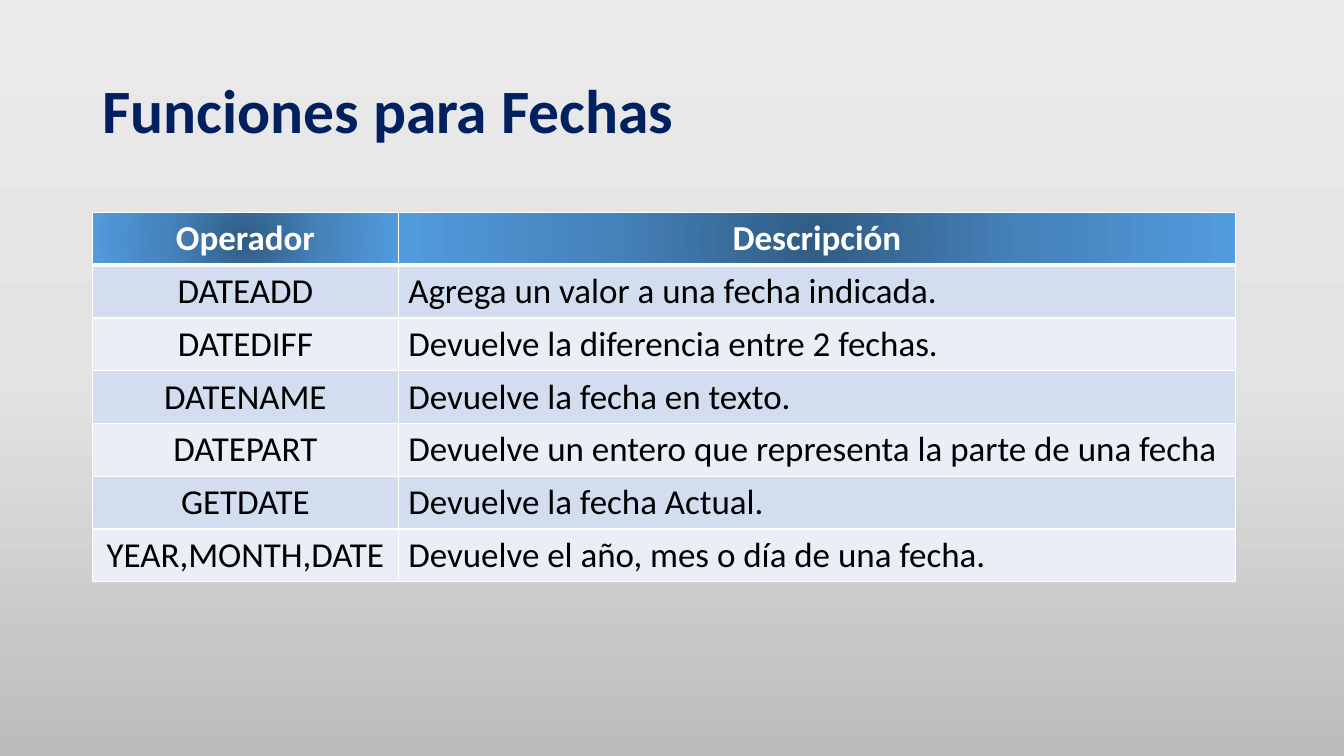
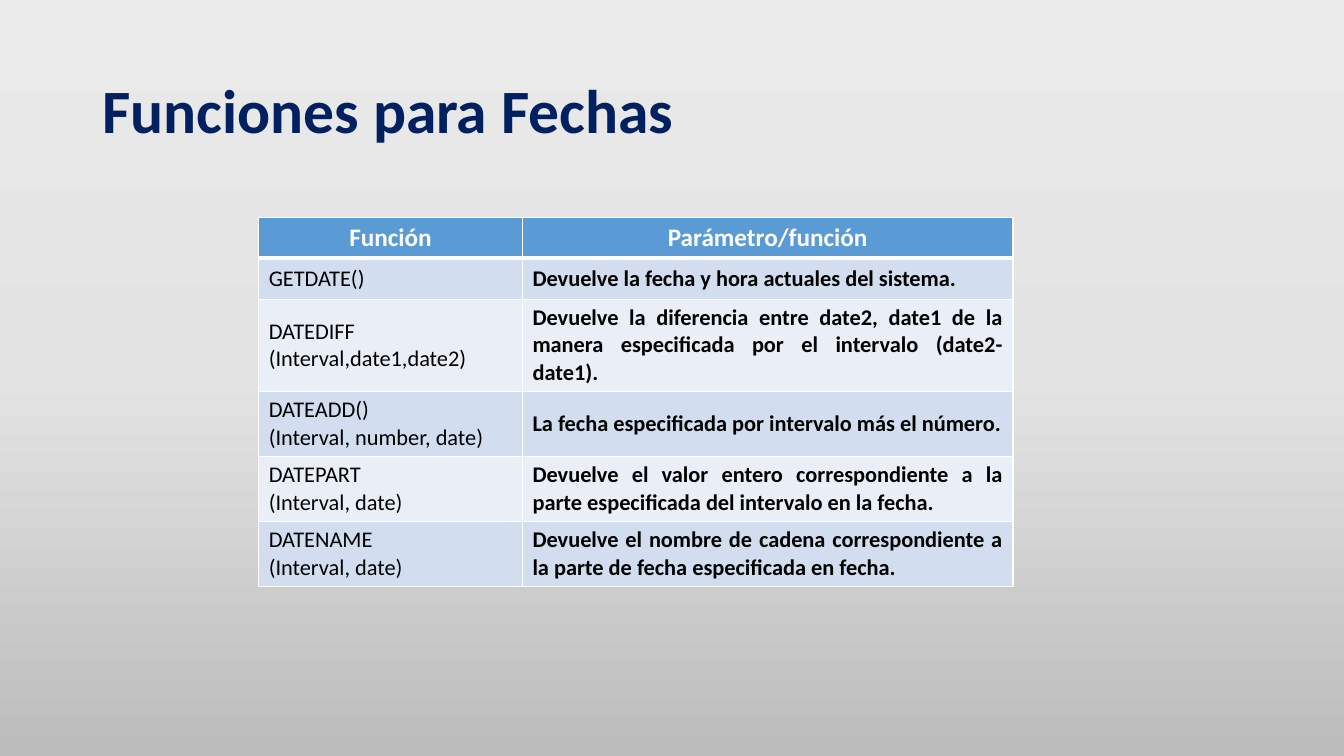
from pptx import Presentation
from pptx.dml.color import RGBColor
from pptx.enum.text import MSO_ANCHOR as Anchor, MSO_AUTO_SIZE as AutoSize, PP_ALIGN as Align
from pptx.oxml import parse_xml
from pptx.oxml.ns import nsdecls, qn
from pptx.util import Pt

FONT = "Calibri"
NAVY = RGBColor(0x00, 0x20, 0x60)
BLUE = RGBColor(0x5B, 0x9B, 0xD5)
WHITE = RGBColor(0xFF, 0xFF, 0xFF)
BLACK = RGBColor(0x00, 0x00, 0x00)
BANDS = (RGBColor(0xD2, 0xDE, 0xEF), RGBColor(0xEA, 0xEF, 0xF7))
PAGE_STOPS = (RGBColor(0xEB, 0xEA, 0xEA), RGBColor(0xE4, 0xE3, 0xE3), RGBColor(0xBD, 0xBC, 0xBC))
HEADER_STOPS = (RGBColor(0x30, 0x5C, 0x84), RGBColor(0x45, 0x83, 0xBB), RGBColor(0x52, 0x9B, 0xDE))

DOWNWARD = '<a:lin ang="5400000" scaled="0"/>'
FROM_CENTRE = ('<a:path path="circle"><a:fillToRect l="50000" t="50000" '
               'r="50000" b="50000"/></a:path>')

TITLE = "Funciones para Fechas"
OPERATORS = [
    ("Operador", "Descripción"),
    ("DATEADD", "Agrega un valor a una fecha indicada."),
    ("DATEDIFF", "Devuelve la diferencia entre 2 fechas."),
    ("DATENAME", "Devuelve la fecha en texto."),
    ("DATEPART", "Devuelve un entero que representa la parte de una fecha"),
    ("GETDATE", "Devuelve la fecha Actual."),
    ("YEAR,MONTH,DATE", "Devuelve el año, mes o día de una fecha."),
]
PARAMETERS = [
    ("Función", "Parámetro/función"),
    ("GETDATE()", "Devuelve la fecha y hora actuales del sistema."),
    ("DATEDIFF\n(Interval,date1,date2)",
     "Devuelve la diferencia entre date2, date1 de la manera especificada "
     "por el intervalo (date2-date1)."),
    ("DATEADD()\n(Interval, number, date)",
     "La fecha especificada por intervalo más el número."),
    ("DATEPART\n(Interval, date)",
     "Devuelve el valor entero correspondiente a la parte especificada "
     "del intervalo en la fecha."),
    ("DATENAME\n(Interval, date)",
     "Devuelve el nombre de cadena correspondiente a la parte de fecha "
     "especificada en fecha."),
]


def set_gradient(fill, owner, colors, direction):
    """Fill with evenly spaced colours; owner is the element that holds the fill."""
    fill.gradient()
    old = owner.find(".//" + qn("a:gradFill"))
    step = 100000 // (len(colors) - 1)
    stops = "".join(f'<a:gs pos="{i * step}"><a:srgbClr val="{c}"/></a:gs>'
                    for i, c in enumerate(colors))
    new = parse_xml(f'<a:gradFill {nsdecls("a")} rotWithShape="1">'
                    f'<a:gsLst>{stops}</a:gsLst>{direction}</a:gradFill>')
    old.getparent().replace(old, new)


def set_borders(cell, top=1, bottom=1):
    widths = {"lnL": 1, "lnR": 1, "lnT": top, "lnB": bottom}
    tcPr = cell._tc.get_or_add_tcPr()
    for i, (side, width) in enumerate(widths.items()):
        tcPr.insert(i, parse_xml(
            f'<a:{side} {nsdecls("a")} w="{Pt(width)}"><a:solidFill>'
            f'<a:srgbClr val="{WHITE}"/></a:solidFill></a:{side}>'))


def format_text(tf, size, color, bold, align):
    for p in tf.paragraphs:
        p.alignment = align
        p.font.name, p.font.size, p.font.bold = FONT, Pt(size), bold
        p.font.color.rgb = color


def add_titled_slide(prs, width):
    s = prs.slides.add_slide(prs.slide_layouts[5])
    sp = s.shapes.title
    sp.left, sp.top, sp.width, sp.height = Pt(66), Pt(28.75), Pt(width), Pt(104.4)
    tf = sp.text_frame
    tf.text = TITLE
    tf.word_wrap = True
    tf.auto_size = AutoSize.NONE
    tf.vertical_anchor = Anchor.MIDDLE
    format_text(tf, 44, NAVY, True, Align.LEFT)
    tf.paragraphs[0].line_spacing = 0.9
    return s


def add_banded_table(s, left, top, col_widths, row_heights, rows, header_size,
                     body_size, aligns, bolds=(False, False),
                     anchor=Anchor.TOP, glossy=False):
    """Table with a header row; aligns and bolds give the body style by column."""
    table = s.shapes.add_table(len(rows), len(col_widths), Pt(left), Pt(top),
                               Pt(sum(col_widths)), Pt(sum(row_heights))).table
    for column, width in zip(table.columns, col_widths):
        column.width = Pt(width)
    for r, (texts, height) in enumerate(zip(rows, row_heights)):
        table.rows[r].height = Pt(height)
        for c, text in enumerate(texts):
            cell = table.cell(r, c)
            cell.text = text
            if r == 0:
                format_text(cell.text_frame, header_size, WHITE, True, Align.CENTER)
                if glossy:
                    set_gradient(cell.fill, cell._tc, HEADER_STOPS, FROM_CENTRE)
                else:
                    cell.fill.solid()
                    cell.fill.fore_color.rgb = BLUE
            else:
                format_text(cell.text_frame, body_size, BLACK, bolds[c], aligns[c])
                cell.vertical_anchor = anchor
                cell.fill.solid()
                cell.fill.fore_color.rgb = BANDS[(r - 1) % 2]
            set_borders(cell, top=3 if r == 1 else 1, bottom=3 if r == 0 else 1)


def add_operators_slide(prs):
    s = add_titled_slide(prs, 507.6)
    add_banded_table(s, 66, 151.7, (218.5, 598), [37.7] * len(OPERATORS), OPERATORS,
                     25, 25, (Align.CENTER, Align.LEFT), glossy=True)


def add_parameters_slide(prs):
    s = add_titled_slide(prs, 828)
    add_banded_table(s, 184.8, 155.3, (188.4, 350.4), (29.2, 29.2, 65.6, 46.4, 46.4, 46.4),
                     PARAMETERS, 18, 16, (Align.LEFT, Align.JUSTIFY), (False, True),
                     anchor=Anchor.MIDDLE)


def main():
    prs = Presentation()
    prs.slide_width, prs.slide_height = Pt(960), Pt(540)
    master = prs.slide_master
    set_gradient(master.background.fill, master.element, PAGE_STOPS, DOWNWARD)
    add_operators_slide(prs)
    add_parameters_slide(prs)
    prs.save("out.pptx")


if __name__ == "__main__":
    main()
